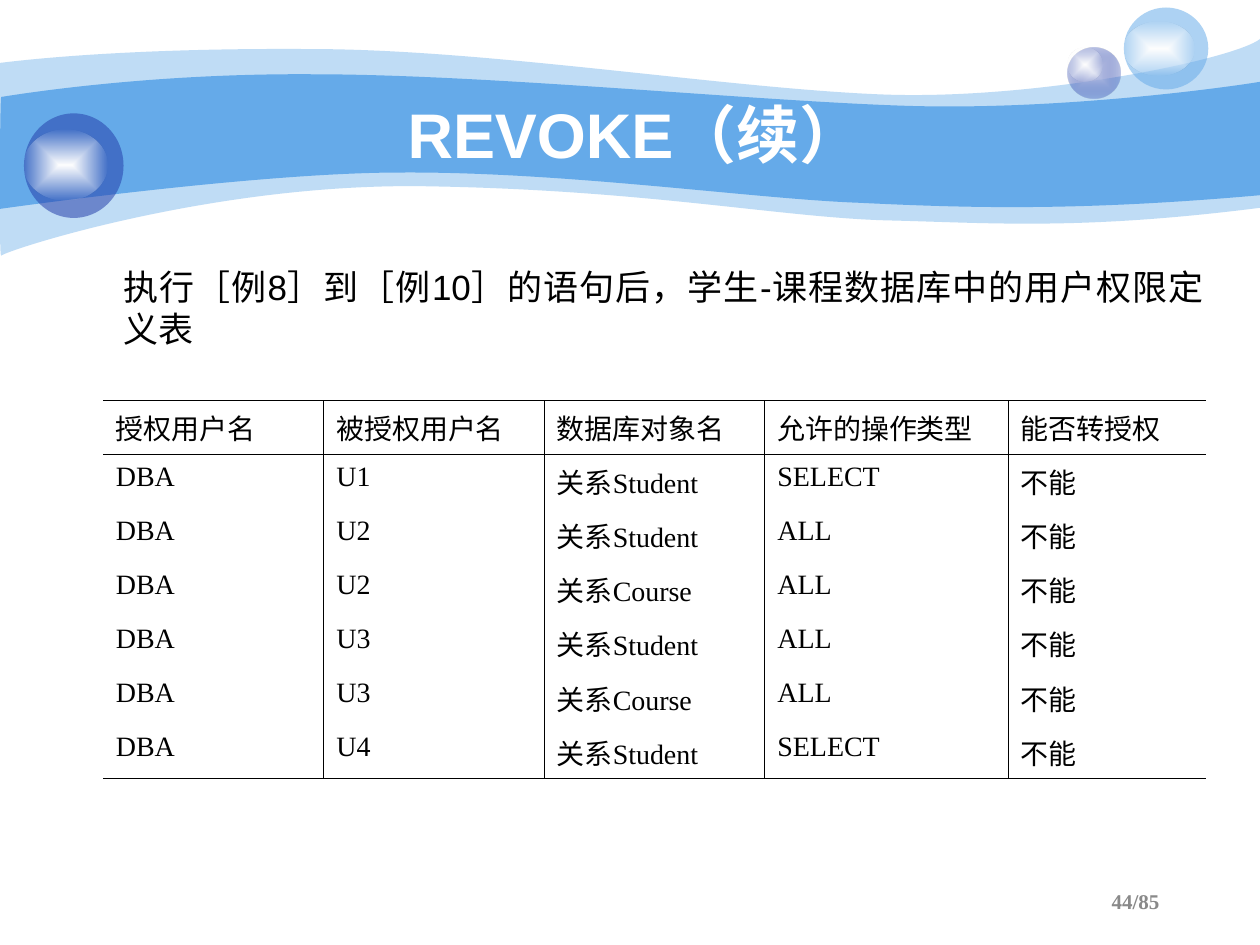
import dataclasses

import lxml.etree
import pptx
import pptx.dml.color
import pptx.enum.shapes
import pptx.enum.text
import pptx.oxml
import pptx.oxml.ns
import pptx.util

Inches = pptx.util.Inches
Pt = pptx.util.Pt
ALIGN = pptx.enum.text.PP_ALIGN
ANCHOR = pptx.enum.text.MSO_ANCHOR
qn = pptx.oxml.ns.qn


@dataclasses.dataclass(frozen=True)
class Theme:
    """Colours, fonts and type sizes of the slide."""
    sky: str = "65AAE9"
    navy: str = "233DA9"
    mist: str = "C7CEE9"
    white: str = "FFFFFF"
    black: str = "000000"
    grey: str = "898989"
    sans: str = "Arial"
    serif: str = "Times New Roman"
    title: float = 36
    body: float = 20
    cell: float = 16
    number: float = 12
    rule: float = 0.45


class Deck:
    """Draws styled elements on the current slide."""

    def __init__(self, prs, theme):
        self.theme = theme
        self.s = prs.slides.add_slide(prs.slide_layouts[5])

    def run(self, p, text, size, font, color, bold=False):
        r = p.add_run()
        r.text = text
        r.font.size, r.font.name, r.font.bold = Pt(size), font, bold
        r.font.color.rgb = pptx.dml.color.RGBColor.from_string(color)

    def solid(self, sp, color, alpha=100):
        sp.shadow.inherit = False
        sp.line.fill.background()
        sp.fill.solid()
        sp.fill.fore_color.rgb = pptx.dml.color.RGBColor.from_string(color)
        if alpha < 100:
            clr = sp.fill._xPr.find(qn("a:solidFill"))[0]
            lxml.etree.SubElement(clr, qn("a:alpha"), val=str(alpha * 1000))

    def glow(self, sp, center, edge, alpha):
        self.solid(sp, edge)
        old = sp.fill._xPr.find(qn("a:solidFill"))
        grad = pptx.oxml.parse_xml(
            f'<a:gradFill {pptx.oxml.ns.nsdecls("a")} rotWithShape="1"><a:gsLst>'
            f'<a:gs pos="0"><a:srgbClr val="{center}"/></a:gs>'
            f'<a:gs pos="100000"><a:srgbClr val="{edge}">'
            f'<a:alpha val="{alpha * 1000}"/></a:srgbClr></a:gs></a:gsLst>'
            '<a:path path="rect"><a:fillToRect l="50000" t="50000" r="50000" b="50000"/>'
            '</a:path></a:gradFill>')
        old.getparent().replace(old, grad)

    def wave(self, start, segments, color, alpha=100):
        points = [(Inches(x), Inches(y)) for seg in segments
                  for x, y in zip(seg[::2], seg[1::2])]
        fb = self.s.shapes.build_freeform(*map(Inches, start))
        fb.add_line_segments(points, close=True)
        sp = fb.convert_to_shape()
        lines = iter(list(sp.element.iter(qn("a:lnTo"))))
        for seg in segments:
            group = [next(lines) for _ in seg[::2]]
            if len(group) == 3:
                curve = lxml.etree.Element(qn("a:cubicBezTo"))
                group[0].addprevious(curve)
                for line in group:
                    curve.append(line[0])
                    line.getparent().remove(line)
        self.solid(sp, color, alpha)

    def ellipse(self, *box):
        return self.s.shapes.add_shape(pptx.enum.shapes.MSO_SHAPE.OVAL, *map(Inches, box))

    def bubble(self, box, shine, color, alpha, center=None):
        sp = self.ellipse(*box)
        if center:
            self.glow(sp, center, color, alpha)
        else:
            self.solid(sp, color, alpha)
        self.glow(self.ellipse(*shine), self.theme.white, self.theme.white, 0)

    def title(self, box, text):
        sp = self.s.shapes.title
        sp.left, sp.top, sp.width, sp.height = map(Inches, box)
        sp.element.getparent().append(sp.element)
        tf = sp.text_frame
        tf.vertical_anchor = ANCHOR.MIDDLE
        p = tf.paragraphs[0]
        p.alignment = ALIGN.CENTER
        self.run(p, text, self.theme.title, self.theme.sans, self.theme.white, True)

    def text(self, box, text, size, font, color, bold=False, align=ALIGN.LEFT,
             anchor=ANCHOR.TOP, inset=(0.1, 0.05), before=0):
        tf = self.s.shapes.add_textbox(*map(Inches, box)).text_frame
        tf.word_wrap, tf.vertical_anchor = True, anchor
        tf.margin_left, tf.margin_top = map(Inches, inset)
        p = tf.paragraphs[0]
        p.alignment, p.space_before = align, Pt(before)
        self.run(p, text, size, font, color, bold)

    def borders(self, cell, sides):
        tc_pr = cell._tc.get_or_add_tcPr()
        for i, side in enumerate("LRTB"):
            ln = lxml.etree.Element(qn(f"a:ln{side}"), w=str(Pt(self.theme.rule)))
            if side in sides:
                fill = lxml.etree.SubElement(ln, qn("a:solidFill"))
                lxml.etree.SubElement(fill, qn("a:srgbClr"), val=self.theme.black)
            else:
                lxml.etree.SubElement(ln, qn("a:noFill"))
            tc_pr.insert(i, ln)

    def table(self, left, top, widths, heights, rows):
        table = self.s.shapes.add_table(
            len(rows), len(widths), Inches(left), Inches(top),
            Inches(sum(widths)), Inches(sum(heights))).table
        table.first_row = table.horz_banding = False
        for column, width in zip(table.columns, widths):
            column.width = Inches(width)
        for i, (row, height) in enumerate(zip(rows, heights)):
            table.rows[i].height = Inches(height)
            for j, text in enumerate(row):
                cell = table.cell(i, j)
                cell.fill.background()
                self.run(cell.text_frame.paragraphs[0], text, self.theme.cell,
                         self.theme.serif, self.theme.black)
                self.borders(cell, ("L" if j else "")
                             + ("R" if j < len(widths) - 1 else "")
                             + ("T" if i < 2 else "")
                             + ("B" if i in (0, len(rows) - 1) else ""))


def main():
    prs = pptx.Presentation()
    prs.slide_width, prs.slide_height = Inches(10), Inches(7.5)
    th = Theme()
    d = Deck(prs, th)

    d.wave((0, 0.5), [
        (0.24, 0.47, 1.07, 0.38, 2.47, 0.39), (3.86, 0.39, 5.75, 0.7, 6.99, 0.75),
        (8.22, 0.8, 9.8, 0.47, 10, 0.31), (10, 1.65),
        (8.58, 1.83, 7.87, 1.77, 7.05, 1.75), (6.22, 1.73, 5.15, 1.51, 3.43, 1.48),
        (1.72, 1.44, 0.04, 1.99, 0.01, 2.03), (-0.01, 2.08, 0, 0.75, 0, 0.5)], th.sky, 41)
    d.wave((0.01, 0.77), [
        (0.02, 0.77, 1.1, 0.58, 2.48, 0.59), (3.86, 0.59, 5.95, 0.8, 7.18, 0.84),
        (8.41, 0.88, 9.76, 0.69, 10, 0.65), (10, 1.55),
        (8.53, 1.68, 7.65, 1.65, 6.82, 1.61), (5.99, 1.58, 4.47, 1.36, 3.17, 1.37),
        (2.03, 1.37, -0.02, 1.66, -0.01, 1.66), (0, 1.66, 0, 0.77, 0.01, 0.77)], th.sky)
    d.bubble((8.47, 0.38, 0.42, 0.4), (8.47, 0.38, 0.28, 0.27), th.navy, 31, th.mist)
    d.bubble((8.92, 0.06, 0.67, 0.65), (8.92, 0.17, 0.56, 0.43), th.sky, 53)
    d.bubble((0.19, 0.9, 0.79, 0.83), (0.19, 1.03, 0.66, 0.56), th.navy, 53)

    d.title((1, 0.75, 8.08, 0.62), "REVOKE（续）")
    d.text((0.5, 2, 9.15, 1.2),
           "执行［例8］到［例10］的语句后，学生-课程数据库中的用户权限定义表",
           th.body, th.sans, th.black, align=ALIGN.JUSTIFY, inset=(0.48, 0.11), before=5)

    header = ("授权用户名", "被授权用户名", "数据库对象名", "允许的操作类型", "能否转授权")
    grants = [("U1", "Student", "SELECT"), ("U2", "Student", "ALL"),
              ("U2", "Course", "ALL"), ("U3", "Student", "ALL"),
              ("U3", "Course", "ALL"), ("U4", "Student", "SELECT")]
    rows = [header] + [("DBA", user, f"关系{relation}", right, "不能")
                       for user, relation, right in grants]
    d.table(0.82, 3.18, [1.75] * 3 + [1.93, 1.57], [0.43] * 6 + [0.42], rows)
    d.text((6.97, 6.95, 2.33, 0.4), "44/85", th.number, th.serif, th.grey, True,
           ALIGN.RIGHT, ANCHOR.MIDDLE)
    prs.save("out.pptx")


if __name__ == "__main__":
    main()
